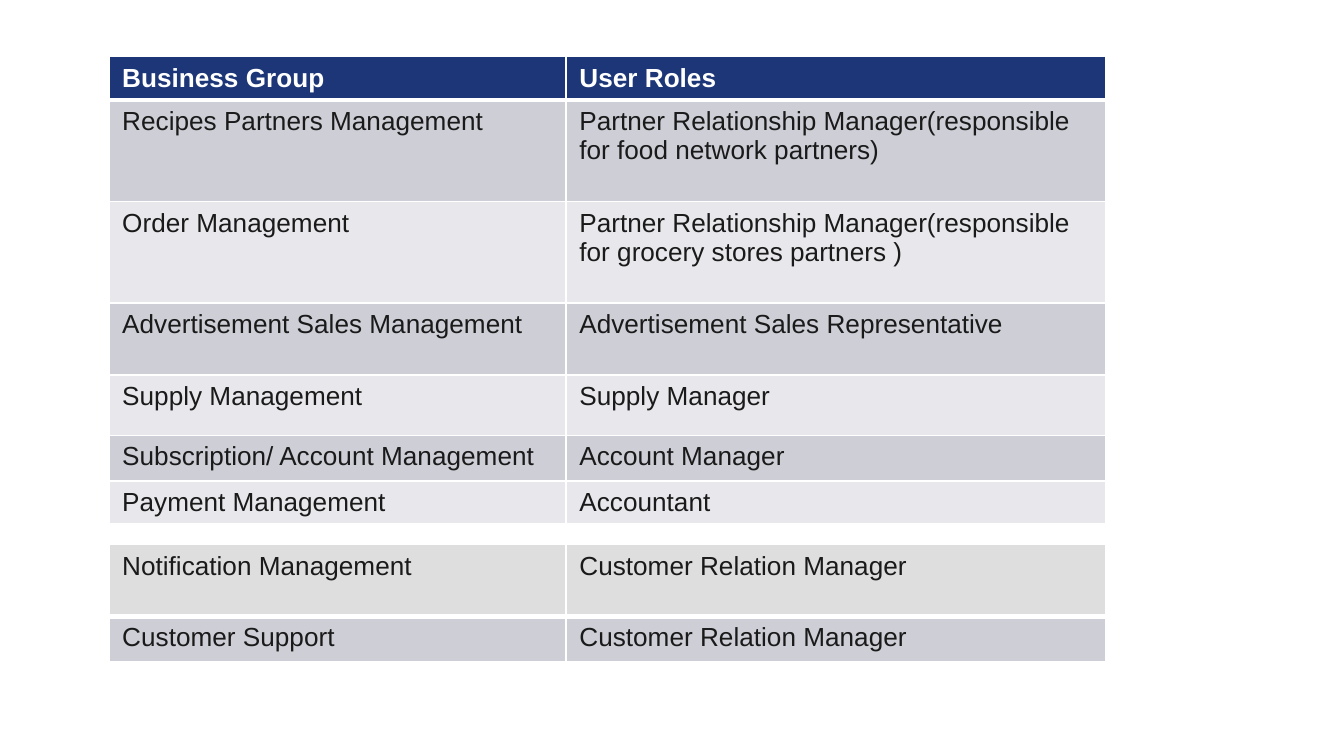
"""Build a slide listing business groups and the user roles behind them."""
from lxml.etree import SubElement
from pptx import Presentation
from pptx.dml.color import RGBColor as Rgb
from pptx.oxml.ns import qn
from pptx.util import Cm, Pt

COLORS = {
    "header": "1C3678",
    "dark_band": "CDCED6",
    "light_band": "E8E8EC",
    "gray_band": "DEDEDE",
    "ink": "1A1A1A",
    "white": "FFFFFF",
}
COLUMN_WIDTHS = (8.64, 10.19)
TABLE_LEFT = 2.06

GROUP_ROWS = [
    (0.82, "header", "Business Group", "User Roles"),
    (1.92, "dark_band", "Recipes Partners Management",
     "Partner Relationship Manager(responsible for food network partners)"),
    (1.92, "light_band", "Order Management",
     "Partner Relationship Manager(responsible for grocery stores partners )"),
    (1.36, "dark_band", "Advertisement Sales Management",
     "Advertisement Sales Representative"),
    (1.14, "light_band", "Supply Management", "Supply Manager"),
    (0.86, "dark_band", "Subscription/ Account Management", "Account Manager"),
    (0.82, "light_band", "Payment Management", "Accountant"),
]
SUPPORT_ROWS = [
    (1.36, "gray_band", "Notification Management", "Customer Relation Manager"),
    (0.86, "dark_band", "Customer Support", "Customer Relation Manager"),
]


class SlideBuilder:
    font_name = "Arial"
    font_size = Pt(14)
    thin, thick = Pt(1), Pt(3)

    def __init__(self, slide):
        self.slide = slide

    def table(self, top, rows):
        shape = self.slide.shapes.add_table(
            len(rows), len(COLUMN_WIDTHS), Cm(TABLE_LEFT), Cm(top),
            Cm(sum(COLUMN_WIDTHS)), Cm(sum(row[0] for row in rows)))
        table = shape.table
        table.horz_banding = False
        for column, width in zip(table.columns, COLUMN_WIDTHS):
            column.width = Cm(width)
        for index, (height, band, *texts) in enumerate(rows):
            table.rows[index].height = Cm(height)
            top_line = self.thick if index == 1 else self.thin
            bottom_line = self.thick if index == 0 else self.thin
            for cell, text in zip(table.rows[index].cells, texts):
                self.cell(cell, text, band)
                self.borders(cell, top_line, bottom_line)

    def cell(self, cell, text, band):
        is_header = band == "header"
        cell.text = text
        cell.margin_left = cell.margin_right = Cm(0.25)
        cell.margin_top = cell.margin_bottom = Cm(0.13)
        cell.fill.solid()
        cell.fill.fore_color.rgb = Rgb.from_string(COLORS[band])
        font = cell.text_frame.paragraphs[0].font
        font.name = self.font_name
        font.size = self.font_size
        font.bold = is_header
        font.color.rgb = Rgb.from_string(COLORS["white" if is_header else "ink"])

    def borders(self, cell, top_line, bottom_line):
        properties = cell._tc.get_or_add_tcPr()
        widths = {"lnL": self.thin, "lnR": self.thin,
                  "lnT": top_line, "lnB": bottom_line}
        for position, (side, width) in enumerate(widths.items()):
            line = SubElement(properties, qn(f"a:{side}"), w=str(int(width)))
            fill = SubElement(line, qn("a:solidFill"))
            SubElement(fill, qn("a:srgbClr"), val=COLORS["white"])
            properties.insert(position, line)


presentation = Presentation()
presentation.slide_width = Cm(25.4)
presentation.slide_height = Cm(14.29)
builder = SlideBuilder(presentation.slides.add_slide(presentation.slide_layouts[6]))
builder.table(1.07, GROUP_ROWS)
builder.table(10.29, SUPPORT_ROWS)
presentation.save("out.pptx")
